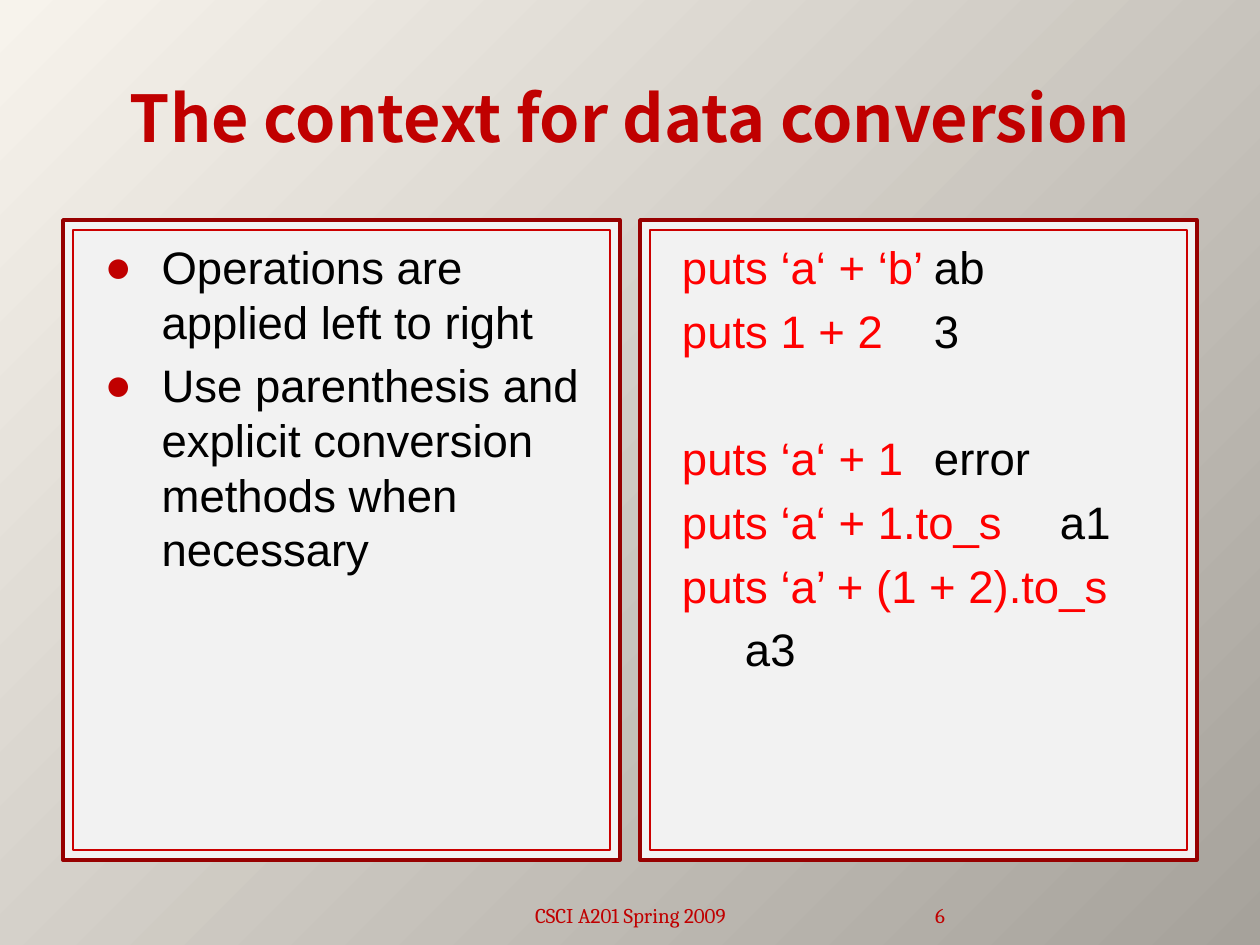
from lxml.etree import SubElement
from pptx import Presentation
from pptx.dml.color import RGBColor
from pptx.enum.shapes import MSO_SHAPE as SHAPE
from pptx.enum.text import MSO_ANCHOR as ANCHOR, PP_ALIGN as ALIGN
from pptx.oxml.ns import qn
from pptx.util import Emu, Pt

COLORS = {
    "light": "F7F3EC", "dark": "A6A29B", "panel": "F2F2F2",
    "frame": "970000", "edge": "CC0000", "accent": "C00000",
    "code": "FF0000", "text": "000000",
}
TITLE = {"name": "Noto Sans CJK SC", "size": Pt(36.9), "bold": True}
BODY = {"name": "Arial", "size": Pt(26)}
FOOTER = {"name": "Cambria", "size": Pt(12)}
PANEL_LEFTS = (63, 640)
PANEL_TOP, PANEL_W, PANEL_H, EDGE = 220, 557, 640, 10
SPACE, LINE = 5.2, 31.2
POINTS = (
    "Operations are applied left to right",
    "Use parenthesis and explicit conversion methods when necessary",
)
EXAMPLES = (
    (("puts ‘a‘ + ‘b’", "ab"), ("puts 1 + 2", "3")),
    (("puts ‘a‘ + 1", "error"), ("puts ‘a‘ + 1.to_s", "a1"),
     ("puts ‘a’ + (1 + 2).to_s", ""), ("", "a3")),
)


def px(n):
    return Emu(round(n * 914400 / 126))


def rgb(key):
    return RGBColor.from_string(COLORS[key])


def set_all(obj, values):
    for name, value in values.items():
        setattr(obj, name, value)


def place(s, left, top, width, height):
    set_all(s, {"left": px(left), "top": px(top),
                "width": px(width), "height": px(height)})


def paint(s, line, width):
    s.fill.solid()
    s.fill.fore_color.rgb = rgb("panel")
    s.line.color.rgb = rgb(line)
    s.line.width = Pt(width)


def add_run(p, text, style, color):
    r = p.add_run()
    r.text = text
    set_all(r.font, style)
    r.font.color.rgb = rgb(color)


def next_paragraph(tf, gap=SPACE):
    first = not tf.paragraphs[0].runs
    p = tf.paragraphs[0] if first else tf.add_paragraph()
    p.line_spacing = Pt(LINE)
    p.space_before = Pt(0 if first else gap)
    return p


def set_bullet(p, char, indent=0, hang=0):
    pPr = p._p.get_or_add_pPr()
    pPr.set("marL", str(px(indent)))
    pPr.set("indent", str(-px(hang)))
    if not char:
        SubElement(pPr, qn("a:buNone"))
        return
    color = SubElement(pPr, qn("a:buClr"))
    SubElement(color, qn("a:srgbClr"), val=COLORS["accent"])
    SubElement(pPr, qn("a:buFont"), typeface="Arial")
    SubElement(pPr, qn("a:buChar"), char=char)


def set_tab(p, pos):
    tabs = SubElement(p._p.get_or_add_pPr(), qn("a:tabLst"))
    SubElement(tabs, qn("a:tab"), pos=str(px(pos)), algn="l")


def set_background(sp):
    fill = sp.background.fill
    fill.gradient()
    fill.gradient_angle = 315
    for stop, key in zip(fill.gradient_stops, ("light", "dark")):
        stop.color.rgb = rgb(key)


def add_frame(sp, index, left):
    s = sp.shapes.add_shape(SHAPE.RECTANGLE, px(left), px(PANEL_TOP),
                            px(PANEL_W), px(PANEL_H))
    s.shadow.inherit = False
    paint(s, "frame", 2)
    sp.shapes._spTree.insert(2 + index, s._element)


def set_title(sp, text):
    s = sp.shapes.title
    place(s, 63, 38, 1134, 157)
    tf = s.text_frame
    tf.vertical_anchor = ANCHOR.MIDDLE
    p = tf.paragraphs[0]
    p.alignment = ALIGN.CENTER
    add_run(p, text, TITLE, "accent")


def set_panel(s, left):
    place(s, left + EDGE, PANEL_TOP + EDGE,
          PANEL_W - 2 * EDGE, PANEL_H - 2 * EDGE)
    paint(s, "edge", 0.75)
    s.text_frame.margin_top = px(9)
    return s.text_frame


def fill_points(tf):
    for text in POINTS:
        p = next_paragraph(tf)
        set_bullet(p, "●", 76, 57)
        add_run(p, text, BODY, "text")


def fill_examples(tf):
    tf.margin_left = px(32)
    for group in EXAMPLES:
        gap = 2 * SPACE + LINE
        for code, result in group:
            p = next_paragraph(tf, gap)
            gap = SPACE
            set_bullet(p, None)
            set_tab(p, 380)
            if code:
                add_run(p, code, BODY, "code")
            if result:
                add_run(p, "\t" + result, BODY, "text")


def add_footer(sp, text, box, align, margin):
    s = sp.shapes.add_textbox(*map(px, box))
    tf = s.text_frame
    set_all(tf, {"word_wrap": True, "vertical_anchor": ANCHOR.BOTTOM,
                 "margin_left": px(margin), "margin_right": px(margin)})
    p = tf.paragraphs[0]
    p.alignment = align
    add_run(p, text, FOOTER, "accent")


def main():
    prs = Presentation()
    prs.slide_width, prs.slide_height = px(1260), px(945)
    sp = prs.slides.add_slide(prs.slide_layouts[3])
    set_background(sp)
    set_title(sp, "The context for data conversion")
    bodies = [sp.placeholders[1], sp.placeholders[2]]
    fillers = (fill_points, fill_examples)
    for i, (s, left, filler) in enumerate(zip(bodies, PANEL_LEFTS, fillers)):
        add_frame(sp, i, left)
        filler(set_panel(s, left))
    add_footer(sp, "CSCI A201 Spring 2009", (431, 884, 399, 50),
               ALIGN.CENTER, 12)
    add_footer(sp, "6", (840, 884, 105, 50), ALIGN.RIGHT, 0)
    prs.save("out.pptx")


if __name__ == "__main__":
    main()
